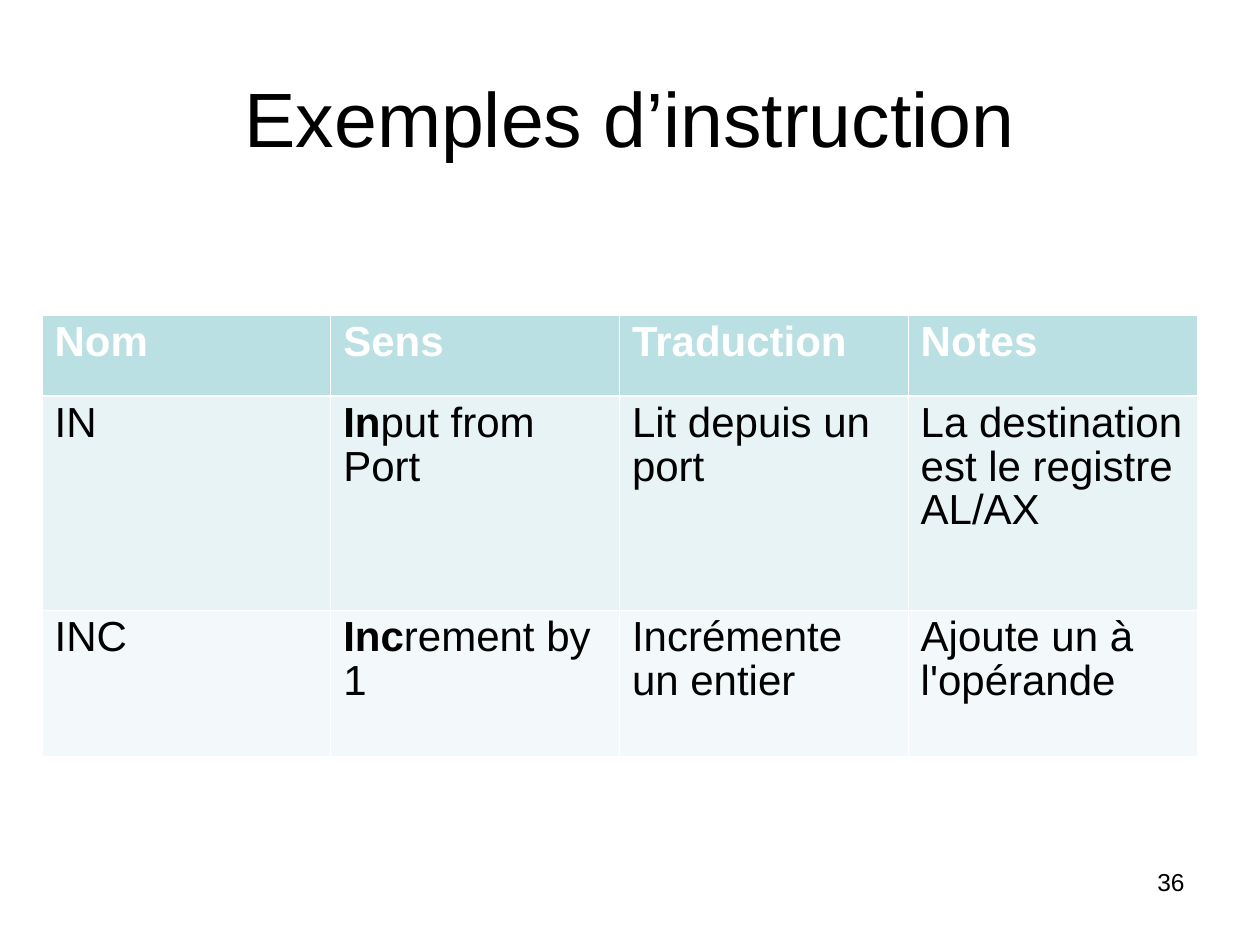
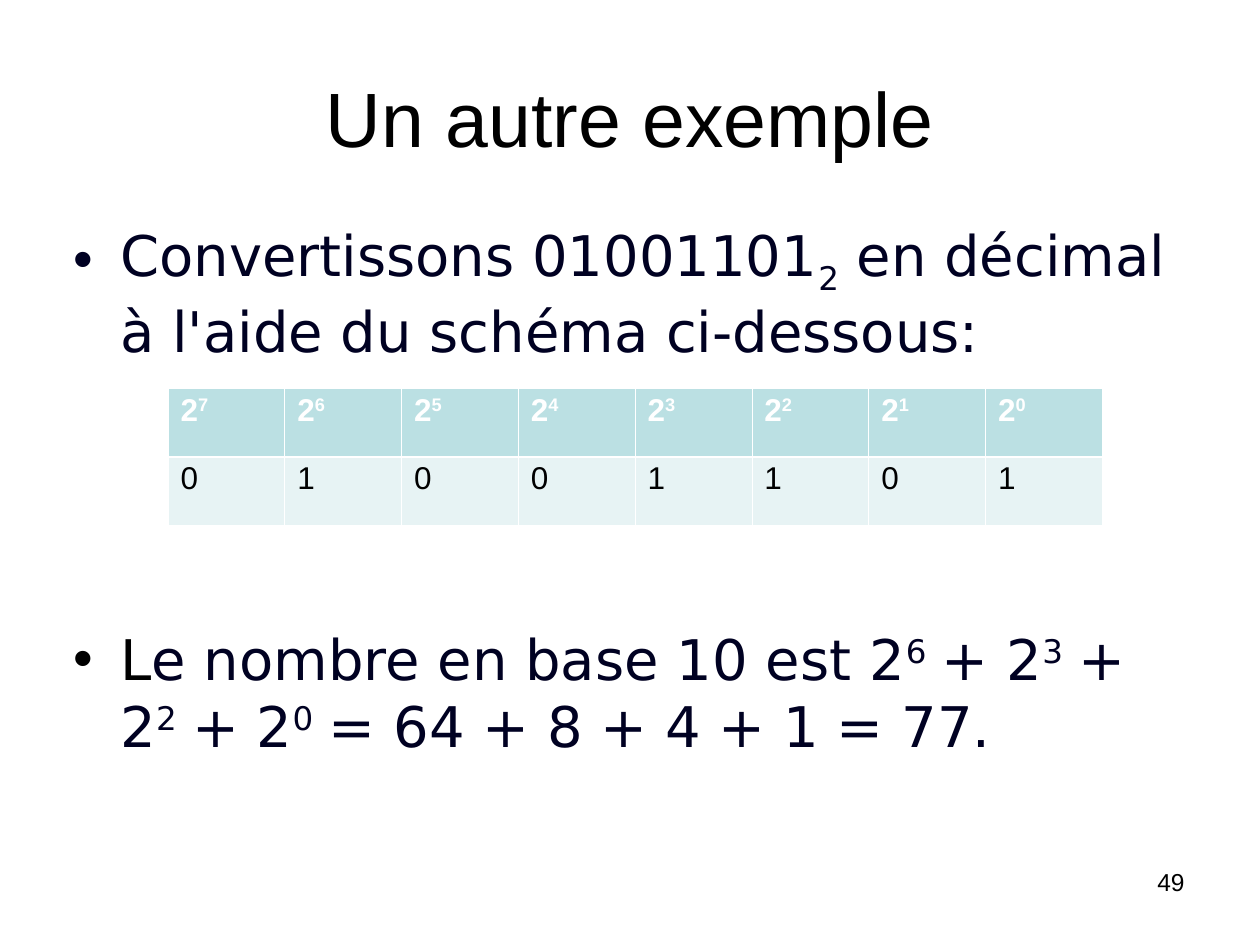
from dataclasses import dataclass

import pptx
import pptx.dml.color
import pptx.enum.text
import pptx.oxml.ns
import pptx.util
from lxml import etree

Pt = pptx.util.Pt
ALIGN = pptx.enum.text.PP_ALIGN
ANCHOR = pptx.enum.text.MSO_ANCHOR


@dataclass(frozen=True)
class Theme:
    sans: str = "Arial"
    body: str = "DejaVu Sans"
    black: str = "000000"
    white: str = "FFFFFF"
    ink: str = "000122"
    bands: tuple = ("BBE0E3", "E7F3F4", "F3F9FA")
    title_size: float = 44
    body_size: float = 32
    gap_size: float = 28
    number_size: float = 14
    thin: float = 0.45
    thick: float = 1.47
    cell_spacing: float = 0.93


T = Theme()
TITLE_BOX = (36, 21.6, 648, 90)
NUMBER_BOX = (516, 492, 168, 37.5)
BOLD = {"bold": True}
SUB = {"baseline": -25}
SUP = {"baseline": 30}


def sub_element(parent, tag, **attributes):
    return etree.SubElement(parent, pptx.oxml.ns.qn(tag), attributes)


def rgb(color):
    return pptx.dml.color.RGBColor.from_string(color)


def add_runs(p, runs, **base):
    """Add runs, each a string or a (string, format changes) pair, over a base format."""
    for run in [runs] if isinstance(runs, str) else runs:
        text, changes = (run, {}) if isinstance(run, str) else run
        style = {**base, **changes}
        r = p.add_run()
        r.text = text
        r.font.color.rgb = rgb(style.pop("color"))
        r.font.size = Pt(style.pop("size"))
        baseline = style.pop("baseline", 0)
        if baseline:
            r.font._element.set("baseline", str(baseline * 1000))
        for name, value in style.items():
            setattr(r.font, name, value)


def place(s, box):
    for name, value in zip(("left", "top", "width", "height"), box):
        setattr(s, name, Pt(value))


def add_text_box(slide, box, inset_x, inset_y):
    tf = slide.shapes.add_textbox(*map(Pt, box)).text_frame
    tf.word_wrap = True
    tf.margin_left = tf.margin_right = Pt(inset_x)
    tf.margin_top = tf.margin_bottom = Pt(inset_y)
    return tf


def add_titled_slide(prs, title, number):
    slide = prs.slides.add_slide(prs.slide_layouts[5])
    s = slide.shapes.title
    place(s, TITLE_BOX)
    tf = s.text_frame
    for name, value in {"word_wrap": True, "vertical_anchor": ANCHOR.MIDDLE,
                        "auto_size": pptx.enum.text.MSO_AUTO_SIZE.NONE}.items():
        setattr(tf, name, value)
    number_tf = add_text_box(slide, NUMBER_BOX, 7.2, 3.6)
    for frame, text, size, align in ((tf, title, T.title_size, ALIGN.CENTER),
                                     (number_tf, number, T.number_size, ALIGN.RIGHT)):
        p = frame.paragraphs[0]
        p.alignment = align
        add_runs(p, text, name=T.sans, size=size, color=T.black)
    return slide


def border_cell(cell, row):
    """Draw white edges, with the heavier one under the header row."""
    tc_pr = cell._tc.get_or_add_tcPr()
    edges = {"L": T.thin, "R": T.thin,
             "T": T.thick if row == 1 else T.thin,
             "B": T.thick if row == 0 else T.thin}
    for side, width in edges.items():
        line = sub_element(tc_pr, f"a:ln{side}", w=str(int(Pt(width))))
        sub_element(sub_element(line, "a:solidFill"), "a:srgbClr", val=T.white)


def add_banded_table(slide, left, top, col_width, row_heights, rows, size):
    cols = len(rows[0])
    box = (left, top, col_width * cols, sum(row_heights))
    table = slide.shapes.add_table(len(rows), cols, *map(Pt, box)).table
    table.first_row = table.horz_banding = False
    for column in table.columns:
        column.width = Pt(col_width)
    for i, (height, texts) in enumerate(zip(row_heights, rows)):
        table.rows[i].height = Pt(height)
        for j, runs in enumerate(texts):
            cell = table.cell(i, j)
            border_cell(cell, i)
            cell.fill.solid()
            cell.fill.fore_color.rgb = rgb(T.bands[i])
            p = cell.text_frame.paragraphs[0]
            p.line_spacing = T.cell_spacing
            add_runs(p, runs, name=T.sans, size=size, bold=i == 0,
                     color=T.black if i else T.white)


def add_bullets(slide, box, bullets, indent=26.8):
    """Add bullets given as (runs, bullet colour, space before)."""
    tf = add_text_box(slide, box, 6, 6)
    for i, (runs, bullet_color, space) in enumerate(bullets):
        p = tf.add_paragraph() if i else tf.paragraphs[0]
        p_pr = p._p.get_or_add_pPr()
        p_pr.set("marL", str(int(Pt(indent))))
        p_pr.set("indent", str(-int(Pt(indent))))
        sub_element(sub_element(p_pr, "a:buClr"), "a:srgbClr", val=bullet_color)
        sub_element(p_pr, "a:buFont", typeface=T.sans)
        sub_element(p_pr, "a:buChar", char="•")
        p.space_before = Pt(space)
        add_runs(p, runs, name=T.body, size=T.body_size, color=T.ink)


def instruction_slide(prs):
    slide = add_titled_slide(prs, "Exemples d’instruction", "36")
    rows = [
        ["Nom", "Sens", "Traduction", "Notes"],
        ["IN", [("In", BOLD), "put from Port"], "Lit depuis un port",
         "La destination est le registre AL/AX"],
        ["INC", [("Inc", BOLD), "rement by 1"], "Incrémente un entier",
         "Ajoute un à l'opérande"],
    ]
    add_banded_table(slide, 24, 180, 165, (46.5, 122.5, 83.5), rows, 24)


def conversion_slide(prs):
    slide = add_titled_slide(prs, "Un autre exemple", "49")
    binary = "01001101"
    gap = (" ", {"size": T.gap_size})
    total = [("L", {"color": T.black}), "e nombre en base 10 est 2"]
    for power, following in zip("6320", ("+ 2", "+ 2", "+ 2", "= 64 + 8 + 4 + 1 = 77.")):
        total += [(power, SUP), gap, following]
    add_bullets(slide, (36, 120, 648, 356.5), [
        ([f"Convertissons {binary}", ("2", SUB),
          " en décimal à l'aide du schéma ci-dessous:"], T.ink, 0),
        (total, T.black, 148.5),
    ])
    powers = [["2", (str(n), SUP)] for n in reversed(range(len(binary)))]
    add_banded_table(slide, 96, 222, 66.75, (39, 39), [powers, list(binary)], 18)


def main():
    prs = pptx.Presentation()
    prs.slide_width, prs.slide_height = Pt(720), Pt(540)
    instruction_slide(prs)
    conversion_slide(prs)
    prs.save("out.pptx")


if __name__ == "__main__":
    main()
